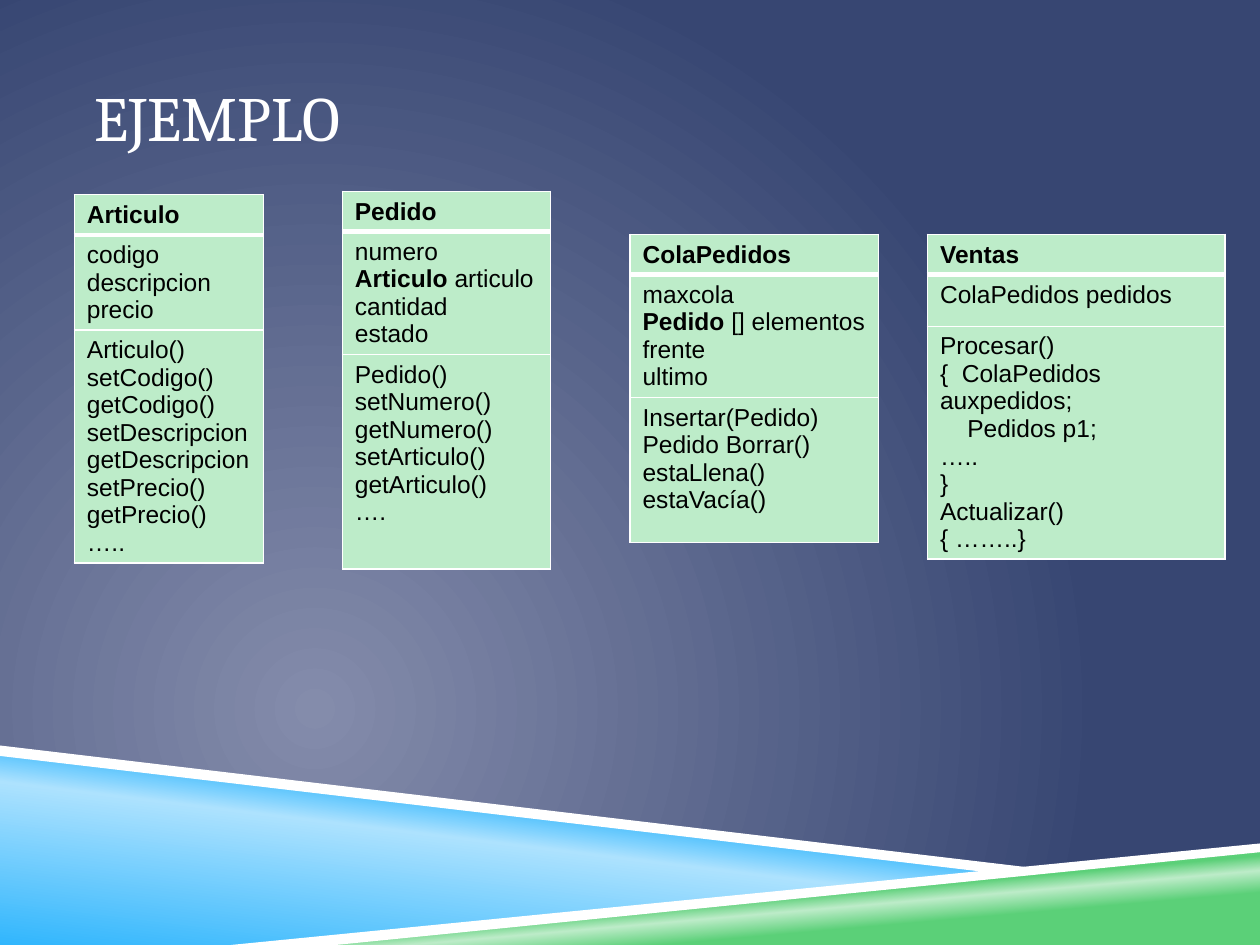
from dataclasses import dataclass

from lxml.etree import SubElement
from pptx import Presentation
from pptx.dml.color import RGBColor
from pptx.enum.text import MSO_ANCHOR, PP_ALIGN
from pptx.oxml import parse_xml
from pptx.oxml.ns import nsdecls, qn
from pptx.slide import Slide
from pptx.table import _Cell
from pptx.text.text import Font
from pptx.util import Pt

HUES = {
    "white": "FFFFFF",
    "black": "000000",
    "mint": "BDECC9",
    "green": "5BD078",
    "blue": "31B6FD",
    "sky": "ADE2FE",
    "mist": "848CAB",
    "navy": "374672",
}
HEAD = 23


@dataclass
class Band:
    points: list[tuple[float, float]]
    stops: list[tuple[int, str]]
    angle: int = 0


@dataclass
class Card:
    left: float
    top: float
    width: float
    name: str
    fields: list[str]
    calls: list[str]
    tall: tuple[float, float]


BANDS = [
    Band([(0, 429.8), (570.2, 498.2), (144, 540), (0, 540)],
         [(0, "blue"), (52, "sky"), (66, "blue")], 277),
    Band([(142.6, 540), (720, 483.8), (720, 540)],
         [(28, "green"), (40, "mint"), (48, "green")], 265),
    Band([(0, 426.2), (0, 432), (568.8, 499), (599, 496.8)], [(0, "white")]),
    Band([(720, 481.7), (132.5, 540), (191.5, 540), (720, 487.4)], [(0, "white")]),
]

CARDS = [
    Card(42.5, 111.3, 108, "Articulo",
         ["codigo", "descripcion", "precio"],
         ["Articulo()", "setCodigo()", "getCodigo()", "setDescripcion",
          "getDescripcion", "setPrecio()", "getPrecio()", "….."], (54, 133)),
    Card(195.6, 109.4, 119, "Pedido",
         ["numero", "Articulo |articulo", "cantidad", "estado"],
         ["Pedido()", "setNumero()", "getNumero()", "setArticulo()",
          "getArticulo()", "…."], (69.5, 122.5)),
    Card(360, 134, 142, "ColaPedidos",
         ["maxcola", "Pedido| [] elementos", "frente", "ultimo"],
         ["Insertar(Pedido)", "Pedido Borrar()", "estaLlena()", "estaVacía()"],
         (69.5, 83)),
    Card(530, 134, 170, "Ventas",
         ["ColaPedidos pedidos"],
         ["Procesar()", "{  ColaPedidos auxpedidos;", "    Pedidos p1;", "…..",
          "}", "Actualizar()", "{ ……..}"], (29.5, 133)),
]


def shade(stops: list[tuple[int, str]], course: str):
    marks = "".join(
        f'<a:gs pos="{place * 1000}"><a:srgbClr val="{HUES[hue]}"/></a:gs>'
        for place, hue in stops)
    return parse_xml(f'<a:gradFill {nsdecls("a")} rotWithShape="1">'
                     f'<a:gsLst>{marks}</a:gsLst>{course}</a:gradFill>')


def swap(props, fill) -> None:
    props.replace(props.find(qn("a:gradFill")), fill)


def paint(slide: Slide) -> None:
    ground = slide.background
    ground.fill.gradient()
    course = ('<a:path path="circle"><a:fillToRect l="50000" t="100000" '
              'r="100000" b="50000"/></a:path>')
    props = slide._element.cSld.find(qn("p:bg")).find(qn("p:bgPr"))
    swap(props, shade([(0, "mist"), (100, "navy")], course))


def draw_band(slide: Slide, band: Band) -> None:
    start, *rest = band.points
    pen = slide.shapes.build_freeform(*start, scale=Pt(1))
    pen.add_line_segments(rest, close=True)
    shape = pen.convert_to_shape()
    shape.shadow.inherit = False
    shape.line.fill.background()
    if len(band.stops) == 1:
        shape.fill.solid()
        shape.fill.fore_color.rgb = RGBColor.from_string(HUES[band.stops[0][1]])
    else:
        shape.fill.gradient()
        course = f'<a:lin ang="{band.angle * 60000}" scaled="0"/>'
        swap(shape._element.spPr, shade(band.stops, course))


def style(font: Font, face: str, size: float, hue: str, bold: bool) -> None:
    font.name = face
    font.size = Pt(size)
    font.bold = bold
    font.color.rgb = RGBColor.from_string(HUES[hue])


def edge(cell: _Cell, row: int) -> None:
    wide = {"L": 1, "R": 1, "T": 3 if row == 1 else 1, "B": 3 if row == 0 else 1}
    props = cell._tc.get_or_add_tcPr()
    for side, width in wide.items():
        line = SubElement(props, qn(f"a:ln{side}"), w=str(Pt(width)))
        fill = SubElement(line, qn("a:solidFill"))
        SubElement(fill, qn("a:srgbClr"), val=HUES["white"])


def write(cell: _Cell, lines: list[str], bold: bool) -> None:
    cell.text_frame.text = "\n".join(lines)
    for para in cell.text_frame.paragraphs:
        lead, bar, tail = para.text.partition("|")
        if bar:
            para.text = lead
            para.add_run().text = tail
        for spot, run in enumerate(para.runs):
            strong = bold or (bool(bar) and spot == 0)
            style(run.font, "Arial", 14, "black", strong)


def draw_card(slide: Slide, card: Card) -> None:
    rows = [HEAD, *card.tall]
    frame = slide.shapes.add_table(
        3, 1, Pt(card.left), Pt(card.top), Pt(card.width), Pt(sum(rows)))
    table = frame.table
    table.first_row = False
    table.horz_banding = False
    for row, lines in enumerate([[card.name], card.fields, card.calls]):
        table.rows[row].height = Pt(rows[row])
        cell = table.cell(row, 0)
        edge(cell, row)
        cell.fill.solid()
        cell.fill.fore_color.rgb = RGBColor.from_string(HUES["mint"])
        write(cell, lines, row == 0)


def draw_title(slide: Slide, text: str) -> None:
    title = slide.shapes.title
    title.left, title.top, title.width, title.height = Pt(54), Pt(21.6), Pt(612), Pt(90)
    frame = title.text_frame
    frame.text = text
    frame.vertical_anchor = MSO_ANCHOR.MIDDLE
    frame.margin_left = frame.margin_right = 0
    para = frame.paragraphs[0]
    para.alignment = PP_ALIGN.LEFT
    style(para.runs[0].font, "Cambria", 36, "white", False)


deck = Presentation()
deck.slide_width, deck.slide_height = Pt(720), Pt(540)
slide = deck.slides.add_slide(deck.slide_layouts[5])
paint(slide)
for band in BANDS:
    draw_band(slide, band)
draw_title(slide, "EJEMPLO")
for card in CARDS:
    draw_card(slide, card)
deck.save("out.pptx")
